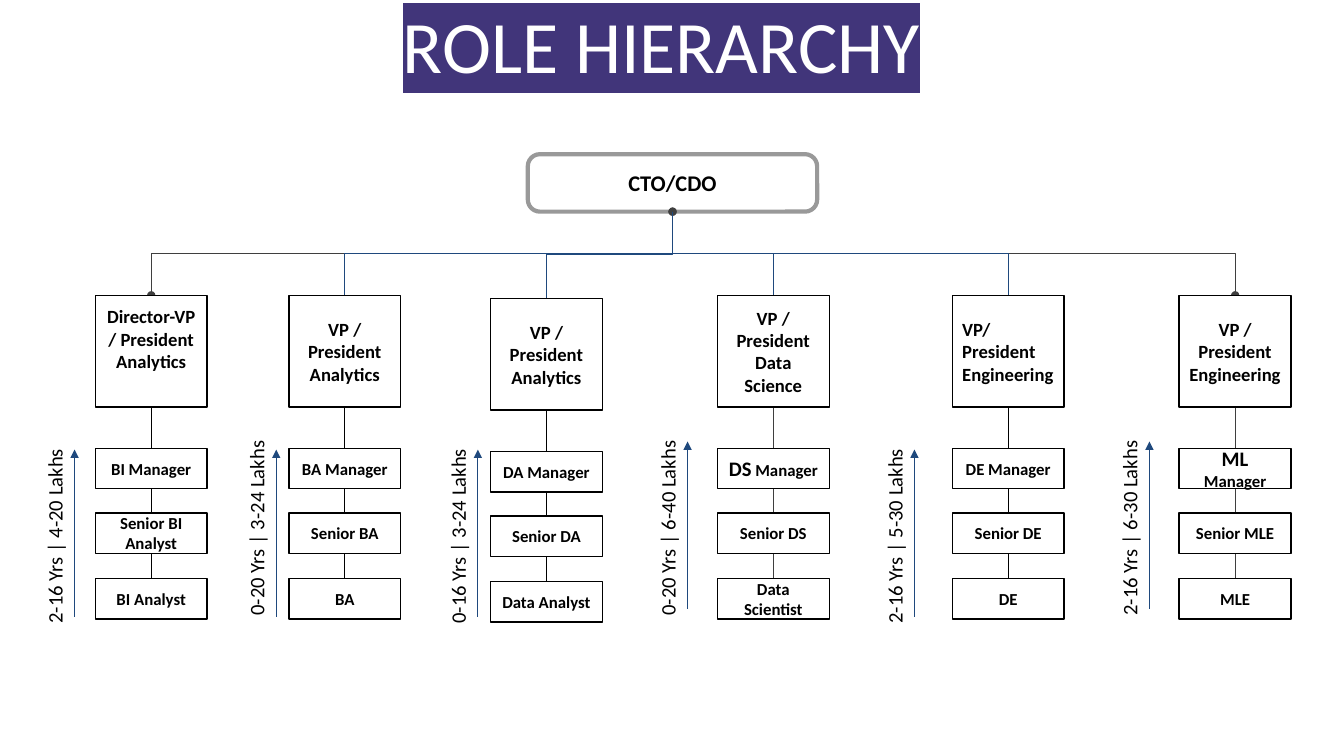
from typing import NamedTuple

from lxml.etree import SubElement
from pptx import Presentation
from pptx.dml.color import RGBColor
from pptx.enum.shapes import MSO_CONNECTOR, MSO_SHAPE
from pptx.enum.text import MSO_ANCHOR, PP_ALIGN
from pptx.oxml import parse_xml
from pptx.oxml.ns import nsdecls, qn
from pptx.util import Inches, Pt

BLACK = RGBColor(0x00, 0x00, 0x00)
WHITE = RGBColor(0xFF, 0xFF, 0xFF)
PURPLE = RGBColor(0x41, 0x35, 0x7A)
SILVER = RGBColor(0x99, 0x99, 0x99)
CHARCOAL = RGBColor(0x3F, 0x3F, 0x3F)
BLUE = RGBColor(0x1F, 0x49, 0x7D)

BOX_WIDTH, HEAD_HEIGHT, ROLE_HEIGHT = 1.11, 1.11, 0.4
HEAD_TOP = 2.93
ROLE_OFFSETS = (1.52, 2.16, 2.81)
ARROW_LENGTH = 1.66
LABEL_WIDTH, LABEL_HEIGHT, LABEL_GAP = 1.97, 0.36, 0.2
CHIEF_X, CHIEF_TOP, CHIEF_WIDTH, CHIEF_HEIGHT = 6.67, 1.53, 2.87, 0.57
HEAD_SIZE, ROLE_SIZE, LARGE_SIZE = 13.3, 12, 14.7


class Track(NamedTuple):
    center: float
    head: tuple
    roles: tuple
    pay: str
    arrow_x: float
    arrow_top: float = 4.46
    label_top: float = 5.14
    drop: float = 0
    spine: tuple = (BLACK, 1)
    head_align: PP_ALIGN = PP_ALIGN.CENTER
    head_bottom_inset: float = 0.05
    outer: bool = False


TRACKS = (
    Track(1.5, ("Director-VP / President", "Analytics"),
          ("BI Manager", "Senior BI Analyst", "BI Analyst"),
          "2-16 Yrs | 4-20 Lakhs", 0.74, head_bottom_inset=0.3, outer=True),
    Track(3.42, ("VP / President", "Analytics"),
          ("BA Manager", "Senior BA", "BA"),
          "0-20 Yrs | 3-24 Lakhs", 2.74, label_top=5.06),
    Track(5.42, ("VP / President", "Analytics"),
          ("DA Manager", "Senior DA", "Data Analyst"),
          "0-16 Yrs | 3-24 Lakhs", 4.74, drop=0.03),
    Track(7.67, ("VP / President", "Data Science"),
          ((("DS", LARGE_SIZE), (" Manager", ROLE_SIZE)), "Senior DS", "Data Scientist"),
          "0-20 Yrs | 6-40 Lakhs", 6.82, 4.38, 5.06, spine=(CHARCOAL, 0.75)),
    Track(10, ("VP/President Engineering",),
          ("DE Manager", "Senior DE", "DE"),
          "2-16 Yrs | 5-30 Lakhs", 9.07, head_align=PP_ALIGN.LEFT),
    Track(12.25, ("VP / President", "Engineering"),
          ((("ML", LARGE_SIZE), (" Manager", ROLE_SIZE)), "Senior MLE", "MLE"),
          "2-16 Yrs | 6-30 Lakhs", 11.4, 4.38, 5.06, spine=(CHARCOAL, 0.75), outer=True),
)


class HierarchySlide:
    """Holds the shared style and the slide being built."""

    font_name = "Calibri"

    def __init__(self, presentation):
        self.slide = presentation.slides.add_slide(presentation.slide_layouts[5])
        self.shapes = self.slide.shapes

    def set_text(self, shape, paragraphs, size, bold=False, color=BLACK,
                 align=PP_ALIGN.CENTER, insets=(0.1, 0.05, 0.1, 0.05)):
        """Fill a shape; a paragraph is a string or a tuple of (text, size) runs."""
        frame = shape.text_frame
        frame.word_wrap = True
        frame.vertical_anchor = MSO_ANCHOR.MIDDLE
        (frame.margin_left, frame.margin_top,
         frame.margin_right, frame.margin_bottom) = map(Inches, insets)
        for index, content in enumerate(paragraphs):
            paragraph = frame.add_paragraph() if index else frame.paragraphs[0]
            paragraph.alignment = align
            runs = ((content, size),) if isinstance(content, str) else content
            for text, run_size in runs:
                run = paragraph.add_run()
                run.text = text
                run.font.name = self.font_name
                run.font.size = Pt(run_size)
                run.font.bold = bold
                run.font.color.rgb = color

    def title(self, text):
        title = self.shapes.title
        title.left, title.top, title.width, title.height = map(Inches, (0.37, 0.06, 12.38, 0.75))
        self.set_text(title, (text,), 52.8, color=WHITE, insets=(0.13,) * 4)
        run = title.text_frame.paragraphs[0].runs[0]
        run._r.rPr.find(qn("a:solidFill")).addnext(parse_xml(
            f'<a:highlight {nsdecls("a")}><a:srgbClr val="{PURPLE}"/></a:highlight>'))

    def box(self, left, top, width, height, paragraphs, size, kind=MSO_SHAPE.RECTANGLE,
            line=(BLACK, 1), **text_style):
        shape = self.shapes.add_shape(kind, *map(Inches, (left, top, width, height)))
        shape.shadow.inherit = False
        shape.fill.solid()
        shape.fill.fore_color.rgb = WHITE
        shape.line.color.rgb = line[0]
        shape.line.width = Pt(line[1])
        self.set_text(shape, paragraphs, size, bold=True, **text_style)
        return shape

    def connector(self, begin, end, color, width=0.75, kind=MSO_CONNECTOR.STRAIGHT,
                  head=None, tail=None):
        connector = self.shapes.add_connector(kind, *map(Inches, (*begin, *end)))
        connector.line.color.rgb = color
        connector.line.width = Pt(width)
        line = connector._element.spPr.find(qn("a:ln"))
        for tag, end_type in (("a:headEnd", head), ("a:tailEnd", tail)):
            if end_type:
                SubElement(line, qn(tag)).set("type", end_type)
        SubElement(connector._element.spPr, qn("a:effectLst"))
        return connector

    def branch(self, begin, end, color, dots=None):
        """Draw an elbow that leaves downwards, runs sideways and drops to its end."""
        elbow = self.connector(begin, end, color, kind=MSO_CONNECTOR.ELBOW, head=dots, tail=dots)
        span, fall = abs(end[0] - begin[0]), end[1] - begin[1]
        elbow.left = Inches((begin[0] + end[0] - fall) / 2)
        elbow.top = Inches((begin[1] + end[1] - span) / 2)
        elbow.width, elbow.height = Inches(fall), Inches(span)
        to_right = end[0] > begin[0]
        transform = elbow._element.spPr.find(qn("a:xfrm"))
        transform.set("rot", str((270 if to_right else 90) * 60000))
        transform.set("flipH", "1" if to_right else "0")

    def branch_to(self, track):
        begin = (CHIEF_X, CHIEF_TOP + CHIEF_HEIGHT)
        end = (track.center, HEAD_TOP + track.drop)
        self.branch(begin, end, CHARCOAL if track.outer else BLUE,
                    "oval" if track.outer else None)

    def role_stack(self, track):
        top = HEAD_TOP + track.drop
        left = track.center - BOX_WIDTH / 2
        spine = self.connector((track.center, top + HEAD_HEIGHT),
                               (track.center, top + ROLE_OFFSETS[-1]), *track.spine)
        head = self.box(left, top, BOX_WIDTH, HEAD_HEIGHT, track.head, HEAD_SIZE,
                        align=track.head_align,
                        insets=(0.1, 0.05, 0.1, track.head_bottom_inset))
        for role, offset in zip(track.roles, ROLE_OFFSETS):
            role_box = self.box(left, top + offset, BOX_WIDTH, ROLE_HEIGHT, (role,), ROLE_SIZE)
        spine.begin_connect(head, 2)
        spine.end_connect(role_box, 0)

    def pay_scale(self, track):
        self.connector((track.arrow_x, track.arrow_top + ARROW_LENGTH),
                       (track.arrow_x, track.arrow_top), BLUE, tail="triangle")
        left = track.arrow_x - LABEL_GAP - LABEL_WIDTH / 2
        label = self.shapes.add_textbox(
            *map(Inches, (left, track.label_top, LABEL_WIDTH, LABEL_HEIGHT)))
        label.rotation = 270
        self.set_text(label, (track.pay,), LARGE_SIZE, insets=(0.05, 0.1, 0.05, 0.1))


def main():
    presentation = Presentation()
    presentation.slide_width, presentation.slide_height = Inches(13.33), Inches(7.5)
    hierarchy = HierarchySlide(presentation)
    hierarchy.title("ROLE HIERARCHY")
    chief = hierarchy.box(CHIEF_X - CHIEF_WIDTH / 2, CHIEF_TOP, CHIEF_WIDTH, CHIEF_HEIGHT,
                          ("CTO/CDO",), 16, MSO_SHAPE.ROUNDED_RECTANGLE, (SILVER, 3))
    chief.adjustments[0] = 0.21
    chief.fill.background()
    for track in TRACKS:
        if track.outer:
            hierarchy.branch_to(track)
    for track in TRACKS:
        hierarchy.role_stack(track)
        hierarchy.pay_scale(track)
        if not track.outer:
            hierarchy.branch_to(track)
    presentation.save("out.pptx")


if __name__ == "__main__":
    main()
